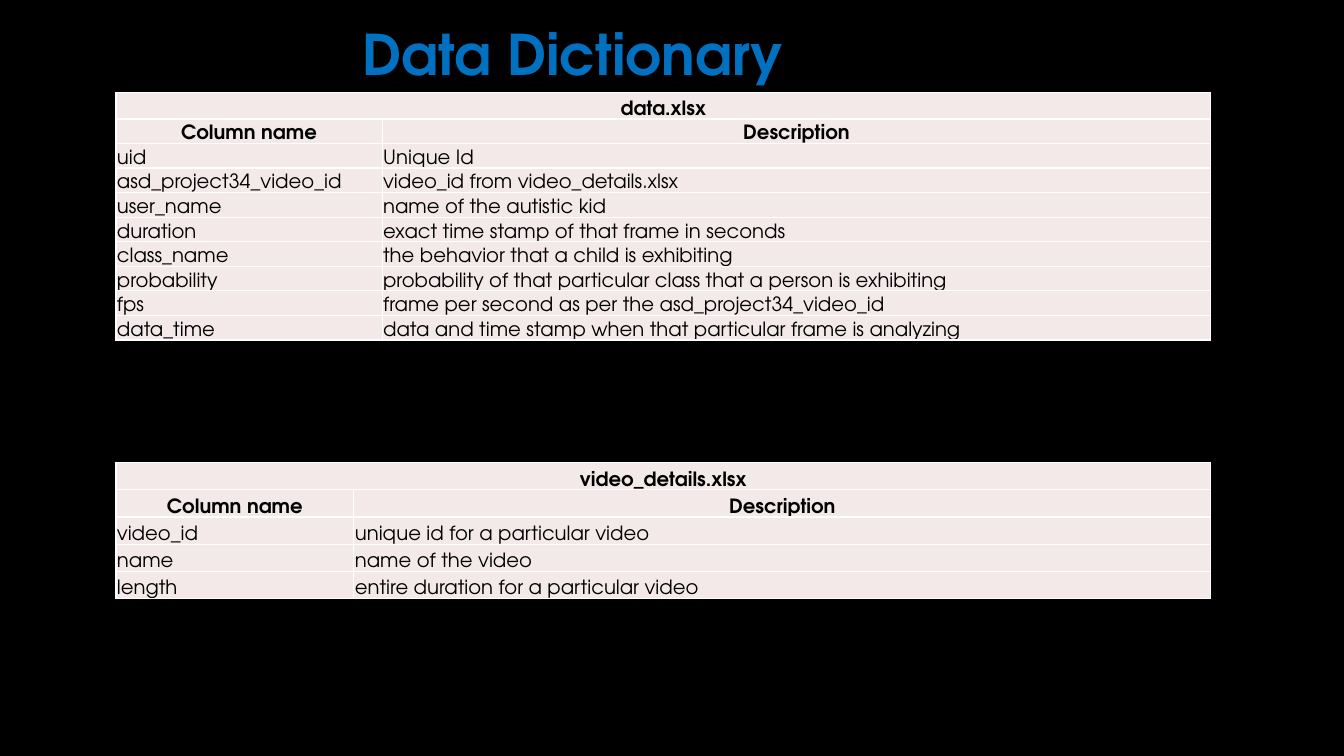
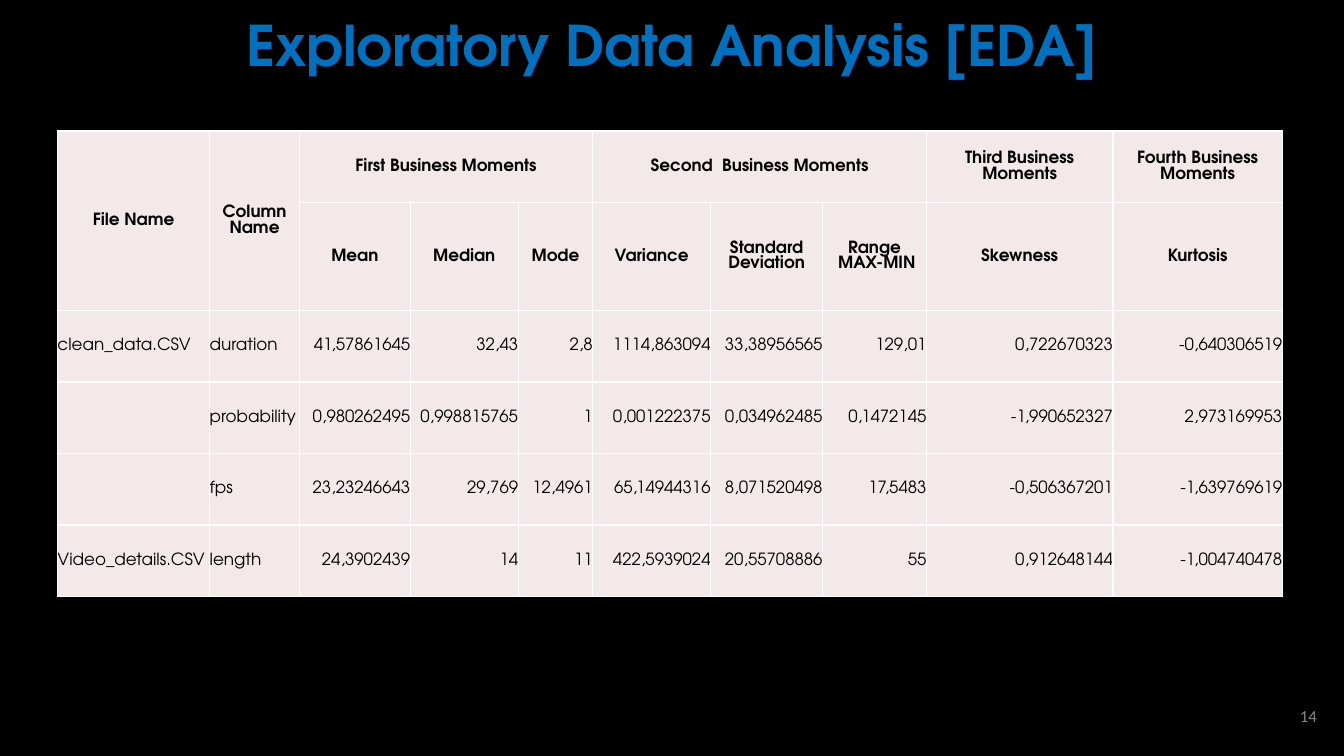
import pptx
import pptx.dml.color
import pptx.enum.text
import pptx.oxml
import pptx.oxml.ns
import pptx.util
from pptx.util import Inches

ALIGN = pptx.enum.text.PP_ALIGN
ANCHOR = pptx.enum.text.MSO_ANCHOR
THEME = {
    "background": "000000", "title": "0070C0", "outline": "404040",
    "cell": "F3E9E8", "text": "000000", "border": "FFFFFF", "muted": "888888",
    "font": "TeX Gyre Adventor", "number_font": "Calibri",
    "title_size": 40, "dictionary_size": 14, "small_size": 12,
}
NAMESPACE = pptx.oxml.ns.nsdecls("a")


def write(frame, text, size, color=THEME["text"], font=THEME["font"], bold=False,
          align=ALIGN.LEFT, line_spacing=None, outline=None):
    """Fill a text frame, one paragraph for each line of text."""
    frame.word_wrap = True
    for index, line in enumerate(text.split("\n")):
        para = frame.add_paragraph() if index else frame.paragraphs[0]
        para.alignment = align
        if line_spacing:
            para.line_spacing = line_spacing
        span = para.add_run()
        span.text = line
        span.font.size = pptx.util.Pt(size)
        span.font.name = font
        span.font.bold = bold
        span.font.color.rgb = pptx.dml.color.RGBColor.from_string(color)
        if outline:
            span.font._element.insert(0, pptx.oxml.parse_xml(
                f'<a:ln {NAMESPACE} w="9525"><a:solidFill><a:srgbClr val="{outline}">'
                '<a:alpha val="10000"/></a:srgbClr></a:solidFill></a:ln>'))


def add_grid(page, left, top, widths, heights, rows, merges, size, anchor, insets,
             number_column):
    """Add a table with two header rows; numbers start at number_column."""
    table = page.shapes.add_table(
        len(rows), len(widths), Inches(left), Inches(top),
        Inches(sum(widths)), Inches(sum(heights))).table
    table.first_row = table.horz_banding = False
    for column, width in zip(table.columns, widths):
        column.width = Inches(width)
    for row, height in zip(table.rows, heights):
        row.height = Inches(height)
    for r, values in enumerate(rows):
        for c, value in enumerate(values):
            cell = table.cell(r, c)
            cell.fill.solid()
            cell.fill.fore_color.rgb = pptx.dml.color.RGBColor.from_string(THEME["cell"])
            cell.vertical_anchor = anchor
            cell.margin_left, cell.margin_top, cell.margin_right, cell.margin_bottom = (
                Inches(inset) for inset in insets)
            for position, edge in enumerate(("lnL", "lnR", "lnT", "lnB")):
                cell._tc.get_or_add_tcPr().insert(position, pptx.oxml.parse_xml(
                    f'<a:{edge} {NAMESPACE} w="12700"><a:solidFill>'
                    f'<a:srgbClr val="{THEME["border"]}"/></a:solidFill></a:{edge}>'))
            if value:
                header = r < 2
                align = (ALIGN.CENTER if header else
                         ALIGN.RIGHT if c >= number_column else ALIGN.LEFT)
                write(cell.text_frame, value, size, bold=header, align=align)
    for first_row, first_column, last_row, last_column in merges:
        table.cell(first_row, first_column).merge(table.cell(last_row, last_column))


deck = pptx.Presentation()
deck.slide_width, deck.slide_height = Inches(13.33), Inches(7.5)
background = deck.slide_master.background.fill
background.solid()
background.fore_color.rgb = pptx.dml.color.RGBColor.from_string(THEME["background"])

# Pages and their titles
pages = []
for title, left, top, width in (
        ("Data Dictionary ", 0.01, 0.22, 11.5),
        ("Exploratory Data Analysis [EDA]", 1.61, 0.13, 10.11)):
    page = deck.slides.add_slide(deck.slide_layouts[6])
    box = page.shapes.add_textbox(Inches(left), Inches(top), Inches(width), Inches(0.7))
    box.text_frame.vertical_anchor = ANCHOR.MIDDLE
    write(box.text_frame, title, THEME["title_size"], color=THEME["title"], bold=True,
          align=ALIGN.CENTER, line_spacing=0.9, outline=THEME["outline"])
    pages.append(page)
dictionary_page, analysis_page = pages

# Data dictionary: one table for each file
data_fields = [
    ("uid", "Unique Id"),
    ("asd_project34_video_id", "video_id from video_details.xlsx"),
    ("user_name", "name of the autistic kid"),
    ("duration", "exact time stamp of that frame in seconds"),
    ("class_name", "the behavior that a child is exhibiting"),
    ("probability", "probability of that particular class that a person is exhibiting"),
    ("fps", "frame per second as per the asd_project34_video_id"),
    ("data_time", "data and time stamp when that particular frame is analyzing"),
]
video_fields = [
    ("video_id", "unique id for a particular video"),
    ("name", "name of the video"),
    ("length", "entire duration for a particular video"),
]
for file_name, fields, top, widths, heights in (
        ("data.xlsx", data_fields, 0.92, (2.64, 8.22), [0.26] + [0.24] * 9),
        ("video_details.xlsx", video_fields, 4.59, (2.36, 8.5), [0.27] * 5)):
    rows = [(file_name, ""), ("Column name", "Description")] + fields
    add_grid(dictionary_page, 1.15, top, widths, heights, rows, [(0, 0, 0, 1)],
             THEME["dictionary_size"], ANCHOR.BOTTOM, (0.01, 0.01, 0.01, 0),
             number_column=len(widths))

# Page number
box = analysis_page.shapes.add_textbox(Inches(12.73), Inches(6.94), Inches(0.43), Inches(0.32))
box.text_frame.vertical_anchor = ANCHOR.MIDDLE
write(box.text_frame, "14", THEME["small_size"], color=THEME["muted"],
      font=THEME["number_font"], align=ALIGN.RIGHT)

# Business moments
moments = [
    ("File Name", "Column Name", "First Business Moments", "", "",
     "Second  Business Moments", "", "", "Third Business Moments", "Fourth Business Moments"),
    ("", "", "Mean", "Median", "Mode", "Variance", "Standard Deviation",
     "Range\n MAX-MIN", "Skewness", "Kurtosis"),
    ("clean_data.CSV", "duration", "41,57861645", "32,43", "2,8", "1114,863094",
     "33,38956565", "129,01", "0,722670323", "-0,640306519"),
    ("", "probability", "0,980262495", "0,998815765", "1", "0,001222375",
     "0,034962485", "0,1472145", "-1,990652327", "2,973169953"),
    ("", "fps", "23,23246643", "29,769", "12,4961", "65,14944316",
     "8,071520498", "17,5483", "-0,506367201", "-1,639769619"),
    ("Video_details.CSV", "length", "24,3902439", "14", "11", "422,5939024",
     "20,55708886", "55", "0,912648144", "-1,004740478"),
]
add_grid(analysis_page, 0.57, 1.3,
         (1.51, 0.89, 1.1, 1.07, 0.74, 1.17, 1.11, 1.03, 1.85, 1.68),
         [0.71, 1.07] + [0.71] * 4, moments,
         [(0, 0, 1, 0), (0, 1, 1, 1), (0, 2, 0, 4), (0, 5, 0, 7)],
         THEME["small_size"], ANCHOR.MIDDLE, (0, 0, 0, 0), number_column=2)

deck.save("out.pptx")
